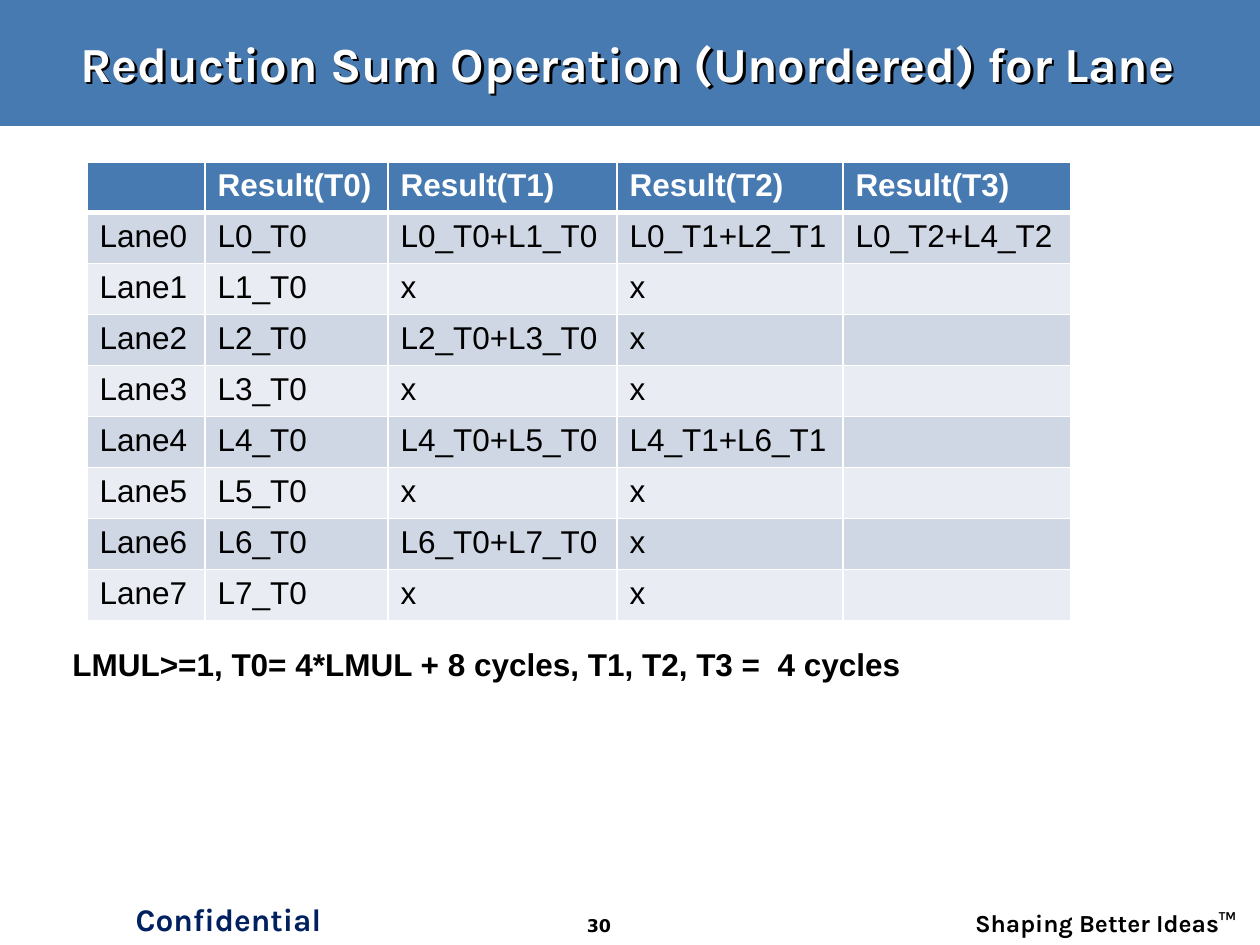
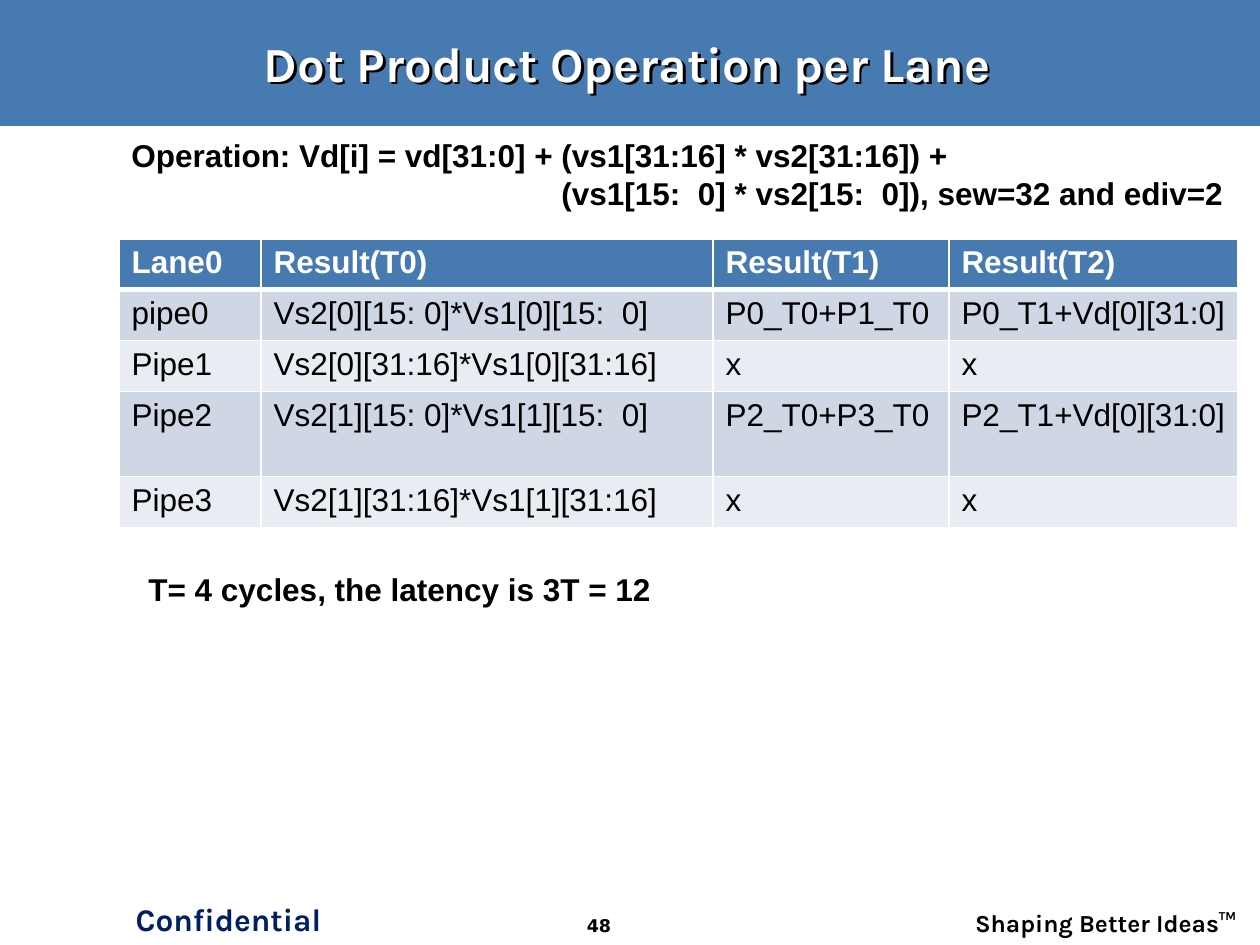
from lxml import etree
from pptx import Presentation
from pptx import util as u
from pptx.dml import color
from pptx.enum import shapes, text
from pptx.oxml import ns

SCALE = 914400 / 126
PAGE = (0, 0, 1260, 945)
COLOURS = {
    "band": "477AB1", "stripe": "CFD7E4", "pale": "E9ECF2",
    "navy": "002060", "white": "FFFFFF", "black": "000000",
}
FORMATS = {
    "title": {"name": "Karla", "size": 28, "bold": True, "colour": "white"},
    "mark": {"name": "Karla", "size": 18, "bold": True, "colour": "navy"},
    "slogan": {"name": "Karla", "size": 14, "bold": True, "colour": "black"},
    "number": {"name": "DejaVu Sans", "size": 10, "bold": True, "colour": "black"},
    "note": {"name": "Arial", "size": 18, "bold": True, "colour": "black"},
    "header": {"name": "Arial", "size": 18, "bold": True, "colour": "white"},
    "cell": {"name": "Arial", "size": 18, "bold": False, "colour": "black"},
}
HEADER_HEIGHT, ROW_HEIGHT = 38, 51
LEFT, CENTER, RIGHT = text.PP_ALIGN.LEFT, text.PP_ALIGN.CENTER, text.PP_ALIGN.RIGHT


def px(length):
    return u.Emu(round(length * SCALE))


def emu_box(box):
    return [px(length) for length in box]


def rgb(name):
    return color.RGBColor.from_string(COLOURS[name])


def write(paragraph, words, style, align=LEFT):
    """Put one formatted run into a paragraph."""
    run = paragraph.add_run()
    run.text = words
    paragraph.alignment = align
    for name, value in FORMATS[style].items():
        if name == "colour":
            run.font.color.rgb = rgb(value)
        else:
            setattr(run.font, name, u.Pt(value) if name == "size" else value)


def add_text(slide, box, lines, style, align=LEFT, hanging=0):
    """Add a text box whose lines after the first are indented by hanging."""
    frame = slide.shapes.add_textbox(*emu_box(box)).text_frame
    frame.word_wrap = True
    for index, line in enumerate(lines):
        paragraph = frame.add_paragraph() if index else frame.paragraphs[0]
        write(paragraph, line, style, align)
        if index:
            paragraph._p.get_or_add_pPr().set("marL", str(px(hanging)))


def add_text_shadow(shape):
    """Give an unfilled shape a shadow, which its text then casts."""
    shape.fill.background()
    effects = etree.SubElement(shape._element.spPr, ns.qn("a:effectLst"))
    shadow = etree.SubElement(effects, ns.qn("a:outerShdw"),
                              dist="28575", dir="2700000", algn="tl")
    etree.SubElement(shadow, ns.qn("a:srgbClr"), val=COLOURS["black"])


def add_heading(slide, box, words):
    """Draw the band behind the title and centre the title in it."""
    left, top, width, height = box
    band = slide.shapes.add_shape(shapes.MSO_SHAPE.RECTANGLE, *emu_box(box))
    band.shadow.inherit = False
    band.fill.solid()
    band.fill.fore_color.rgb = rgb("band")
    band.line.fill.background()
    slide.shapes._spTree.insert(2, band._element)

    title = slide.shapes.title
    place = emu_box((left + 28, top + 21, width - 62, height - 43))
    for name, value in zip(("left", "top", "width", "height"), place):
        setattr(title, name, value)
    add_text_shadow(title)
    frame = title.text_frame
    frame.vertical_anchor = text.MSO_ANCHOR.MIDDLE
    frame.auto_size = text.MSO_AUTO_SIZE.NONE
    write(frame.paragraphs[0], words, "title", CENTER)


def add_footer(slide, box, number):
    left, top, width, _ = box
    add_text(slide, (left + 118, top, 221, 53), ["Confidential"], "mark", CENTER)
    add_text(slide, (left + 541, top + 15, 116, 35), [number], "number", CENTER)
    add_text(slide, (left + width - 310, top + 8, 299, 34),
             ["Shaping Better Ideas™"], "slogan", RIGHT)


def add_borders(cell, row):
    """Draw white cell borders, thick below the header."""
    for side in "LRTB":
        thick = row == 0 and side == "B"
        line = etree.SubElement(cell._tc.get_or_add_tcPr(), ns.qn(f"a:ln{side}"),
                                w=str(u.Pt(3 if thick else 1)))
        fill = etree.SubElement(line, ns.qn("a:solidFill"))
        etree.SubElement(fill, ns.qn("a:srgbClr"), val=COLOURS["white"])


def add_result_table(slide, origin, widths, rows, tall_rows=None):
    """Add a striped table; tall_rows maps a row index to its own height."""
    heights = [HEADER_HEIGHT] + [ROW_HEIGHT] * (len(rows) - 1)
    for index, height in (tall_rows or {}).items():
        heights[index] = height
    box = (*origin, sum(widths), sum(heights))
    table = slide.shapes.add_table(len(rows), len(widths), *emu_box(box)).table
    for column, width in zip(table.columns, widths):
        column.width = px(width)
    for index, (row, height) in enumerate(zip(rows, heights)):
        table.rows[index].height = px(height)
        fill = "band" if index == 0 else "stripe" if index % 2 else "pale"
        for position, words in enumerate(row):
            cell = table.cell(index, position)
            add_borders(cell, index)
            cell.fill.solid()
            cell.fill.fore_color.rgb = rgb(fill)
            if words:
                write(cell.text_frame.paragraphs[0], words,
                      "cell" if index else "header")


def add_page(presentation, title, number):
    slide = presentation.slides.add_slide(presentation.slide_layouts[5])
    left, top, width, height = PAGE
    add_heading(slide, (left, top, width, 126), title)
    add_footer(slide, (left, top + height - 51, width, 51), number)
    return slide


def lane_result(lane, step):
    """Name the sum a lane holds after a step of the pairwise reduction."""
    if step == 0:
        return f"L{lane}_T0"
    if lane % 2 ** step == 0:
        partner = lane + 2 ** (step - 1)
        return f"L{lane}_T{step - 1}+L{partner}_T{step - 1}"
    return "x" if step < 3 else ""


def add_reduction_slide(presentation):
    slide = add_page(presentation, "Reduction Sum Operation (Unordered) for Lane", "30")
    steps = range(4)
    rows = [["", *(f"Result(T{step})" for step in steps)]]
    rows += [[f"Lane{lane}", *(lane_result(lane, step) for step in steps)]
             for lane in range(8)]
    add_result_table(slide, (87, 162), (118, 183, 229, 226, 228), rows)
    add_text(slide, (60, 639, 1090, 89),
             ["LMUL>=1, T0= 4*LMUL + 8 cycles, T1, T2, T3 =  4 cycles"], "note")


def add_dot_product_slide(presentation):
    slide = add_page(presentation, "Dot Product Operation per Lane", "48")
    rows = [
        ["Lane0", "Result(T0)", "Result(T1)", "Result(T2)"],
        ["pipe0", "Vs2[0][15: 0]*Vs1[0][15:  0]", "P0_T0+P1_T0", "P0_T1+Vd[0][31:0]"],
        ["Pipe1", "Vs2[0][31:16]*Vs1[0][31:16]", "x", "x"],
        ["Pipe2", "Vs2[1][15: 0]*Vs1[1][15:  0]", "P2_T0+P3_T0", "P2_T1+Vd[0][31:0]"],
        ["Pipe3", "Vs2[1][31:16]*Vs1[1][31:16]", "x", "x"],
    ]
    add_result_table(slide, (119, 239), (142, 452, 236, 289), rows, {3: 85})
    add_text(slide, (136, 564, 624, 50), ["T= 4 cycles, the latency is 3T = 12"], "note")
    add_text(slide, (119, 130, 1141, 89),
             ["Operation: Vd[i] = vd[31:0] + (vs1[31:16] * vs2[31:16]) +",
              "(vs1[15:  0] * vs2[15:  0]), sew=32 and ediv=2"],
             "note", hanging=430)


def main():
    presentation = Presentation()
    presentation.slide_width, presentation.slide_height = emu_box(PAGE[2:])
    add_reduction_slide(presentation)
    add_dot_product_slide(presentation)
    presentation.save("out.pptx")


if __name__ == "__main__":
    main()
